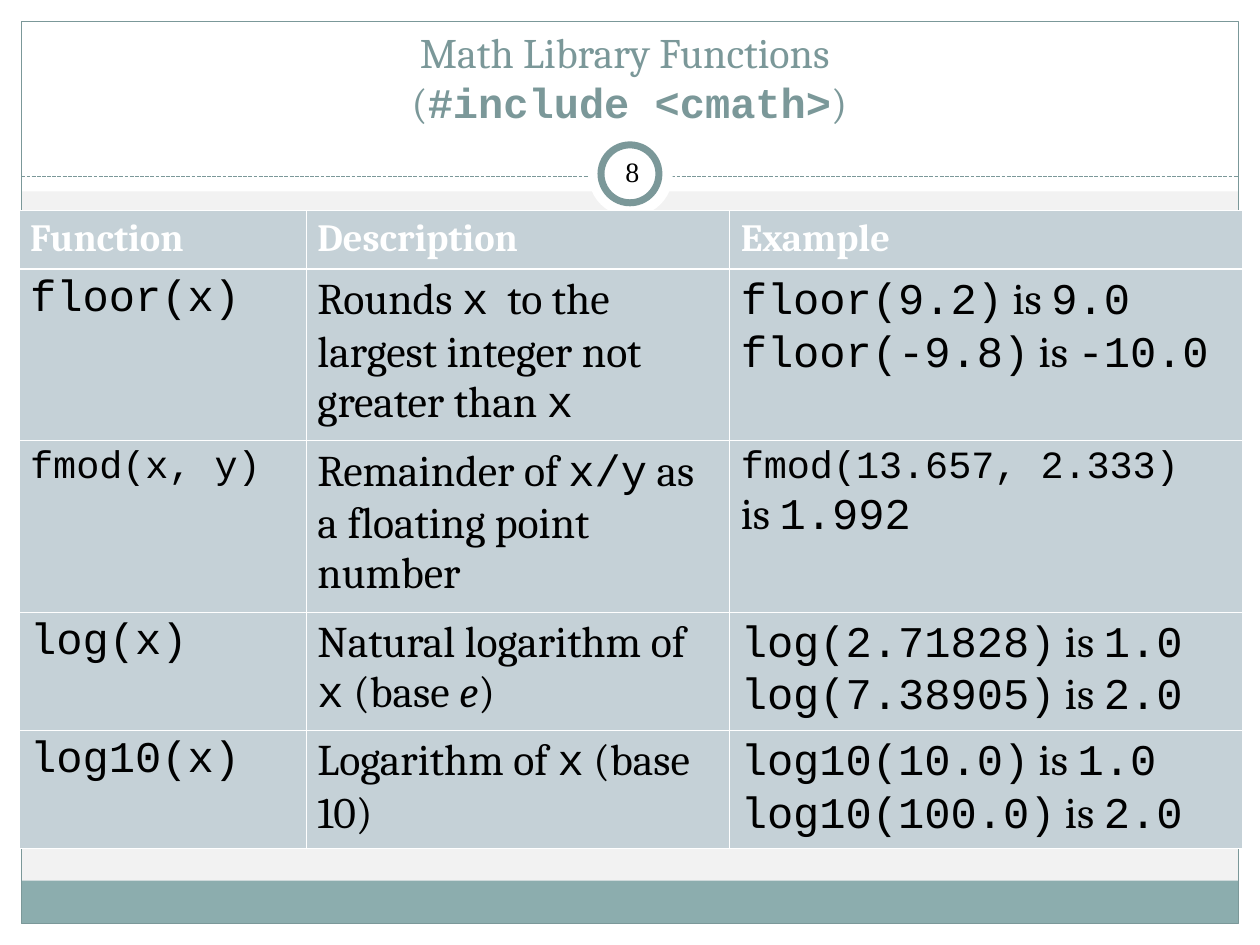
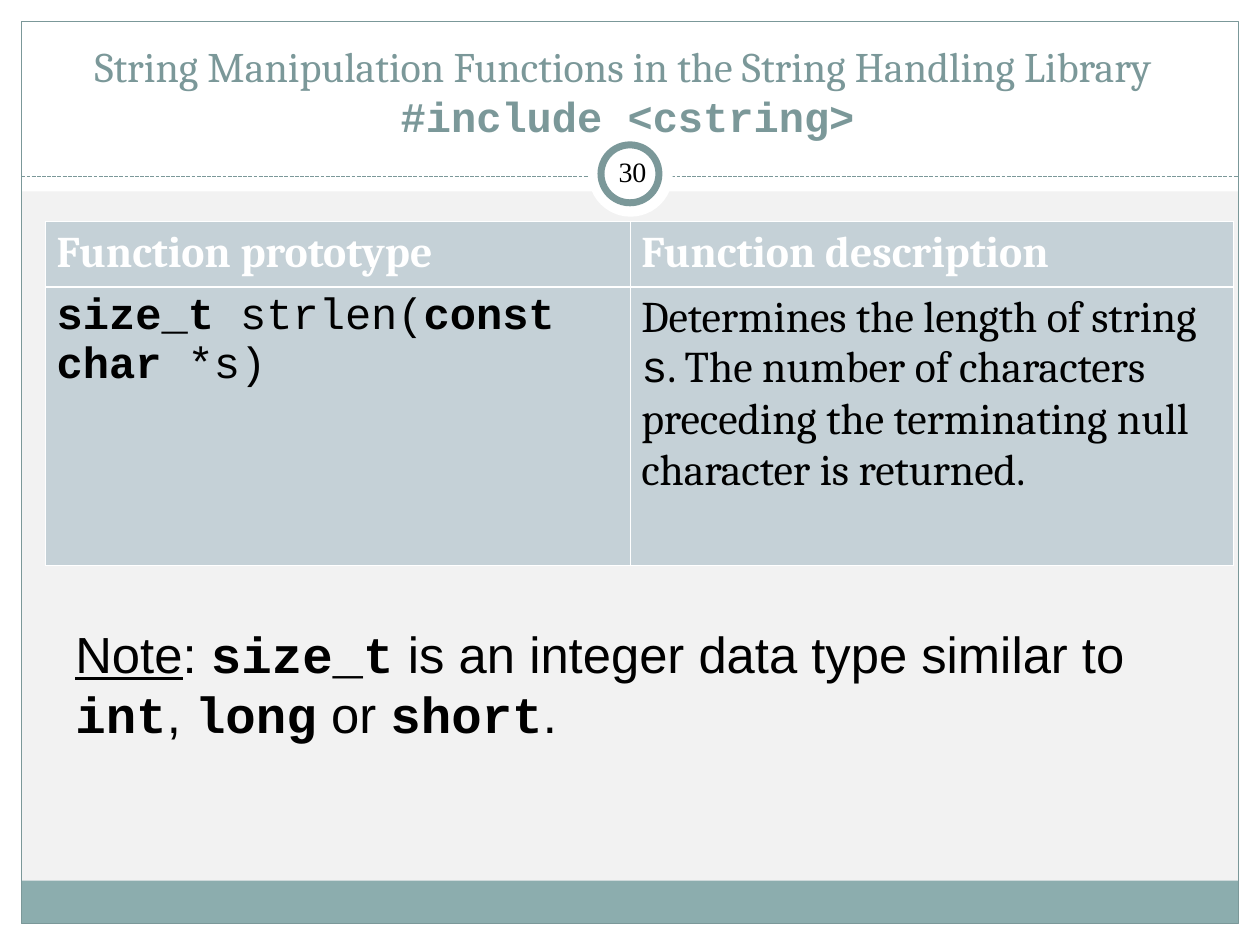
from dataclasses import dataclass, replace

from lxml.etree import SubElement
from pptx import Presentation
from pptx.dml.color import RGBColor
from pptx.enum.dml import MSO_LINE
from pptx.enum.shapes import MSO_CONNECTOR, MSO_SHAPE as Preset
from pptx.enum.text import MSO_ANCHOR as Anchor, PP_ALIGN as Align
from pptx.oxml.ns import qn
from pptx.util import Inches, Pt


@dataclass(frozen=True)
class Theme:
    background: str = "F2F2F2"
    white: str = "FFFFFF"
    black: str = "000000"
    accent: str = "7B9899"
    band: str = "8CADAE"
    cell: str = "C5D1D7"
    serif: str = "Cambria"
    mono: str = "Courier New"
    sans: str = "Arial"
    number_font: str = "Times New Roman"
    title_size: int = 24
    body_size: int = 25
    small_size: int = 22
    note_size: int = 29
    number_size: int = 16
    frame_line: float = 0.75
    ring_line: float = 4
    grid_line: float = 0.45
    header_line: float = 1.47


THEME = Theme()


@dataclass(frozen=True)
class Span:
    text: str
    font: str = THEME.serif
    size: int = THEME.body_size
    color: str = THEME.black
    bold: bool = False
    italic: bool = False
    underline: bool = False


Line = list[Span]
Cell = list[Line]


@dataclass(frozen=True)
class Area:
    left: float
    top: float
    width: float
    height: float

    def lengths(self) -> tuple:
        return tuple(Inches(v) for v in (self.left, self.top, self.width, self.height))


@dataclass(frozen=True)
class FramePart:
    area: Area
    preset: Preset = Preset.RECTANGLE
    fill: str | None = THEME.white
    line_width: float = 0


@dataclass(frozen=True)
class FunctionTable:
    left: float
    top: float
    widths: list[float]
    heights: list[float]
    header: list[str]
    header_size: int
    rows: list[list[Cell]]


FRAME_PARTS = [
    FramePart(Area(0, 7.33, 10, 0.17)),
    FramePart(Area(0, 0, 10, 1.52)),
    FramePart(Area(0, 0, 0.17, 7.5)),
    FramePart(Area(9.83, 0, 0.17, 7.5)),
    FramePart(Area(0.17, 6.99, 9.66, 0.34), fill=THEME.band),
    FramePart(Area(0.17, 0.17, 9.66, 7.16), fill=None, line_width=THEME.frame_line),
]
BADGE_PARTS = [
    FramePart(Area(4.67, 1.05, 0.67, 0.67), Preset.OVAL),
    FramePart(Area(4.77, 1.15, 0.46, 0.46), Preset.OVAL, line_width=THEME.ring_line),
]
NUMBER_AREA = Area(4.77, 1.12, 0.5, 0.48)


def prose(text: str, **style) -> Span:
    return Span(text, **style)


def code(text: str, **style) -> Span:
    return Span(text, font=THEME.mono, **style)


def keyword(text: str, **style) -> Span:
    return code(text, bold=True, **style)


def example(call: str, result: str) -> Line:
    return [code(call), prose(" is "), code(result)]


def titled(line: Line) -> Line:
    return [replace(span, size=THEME.title_size, color=THEME.accent) for span in line]


def add_spans(para, line: Line) -> None:
    for span in line:
        run = para.add_run()
        run.text = span.text
        font = run.font
        font.name = span.font
        font.size = Pt(span.size)
        font.color.rgb = RGBColor.from_string(span.color)
        font.bold = span.bold
        font.italic = span.italic
        font.underline = span.underline


def add_box(page, area: Area, lines: list[Line], inset: tuple[float, float],
            anchor: Anchor = Anchor.TOP, align: Align = Align.LEFT) -> None:
    frame = page.shapes.add_textbox(*area.lengths()).text_frame
    frame.word_wrap = True
    frame.vertical_anchor = anchor
    frame.margin_left = frame.margin_right = Inches(inset[0])
    frame.margin_top = frame.margin_bottom = Inches(inset[1])
    para = frame.paragraphs[0]
    para.alignment = align
    for index, line in enumerate(lines):
        if index:
            para.add_line_break()
        add_spans(para, line)


def add_part(page, part: FramePart) -> None:
    shape = page.shapes.add_shape(part.preset, *part.area.lengths())
    shape.shadow.inherit = False
    if part.fill:
        shape.fill.solid()
        shape.fill.fore_color.rgb = RGBColor.from_string(part.fill)
    else:
        shape.fill.background()
    if part.line_width:
        shape.line.color.rgb = RGBColor.from_string(THEME.accent)
        shape.line.width = Pt(part.line_width)
    else:
        shape.line.fill.background()


def add_divider(page) -> None:
    height = Inches(1.4)
    divider = page.shapes.add_connector(
        MSO_CONNECTOR.STRAIGHT, Inches(0.17), height, Inches(9.83), height)
    divider.line.color.rgb = RGBColor.from_string(THEME.accent)
    divider.line.width = Pt(THEME.frame_line)
    divider.line.dash_style = MSO_LINE.SQUARE_DOT
    SubElement(divider._element.spPr, qn("a:effectLst"))


def start_page(deck, title_area: Area, title: list[Line], number: int):
    page = deck.slides.add_slide(deck.slide_layouts[6])
    page.background.fill.solid()
    page.background.fill.fore_color.rgb = RGBColor.from_string(THEME.background)
    for part in FRAME_PARTS:
        add_part(page, part)
    add_divider(page)
    for part in BADGE_PARTS:
        add_part(page, part)
    add_box(page, title_area, [titled(line) for line in title], (0, 0.07),
            Anchor.BOTTOM, Align.CENTER)
    label = prose(str(number), font=THEME.number_font, size=THEME.number_size)
    add_box(page, NUMBER_AREA, [[label]], (0.05, 0.05), Anchor.MIDDLE, Align.CENTER)
    return page


def set_borders(cell, top: float, bottom: float) -> None:
    properties = cell._tc.get_or_add_tcPr()
    sides = {"L": THEME.grid_line, "R": THEME.grid_line, "T": top, "B": bottom}
    for side, width in sides.items():
        border = SubElement(properties, qn(f"a:ln{side}"), w=str(int(Pt(width))))
        fill = SubElement(border, qn("a:solidFill"))
        SubElement(fill, qn("a:srgbClr"), val=THEME.white)


def fill_cell(cell, lines: Cell, row: int) -> None:
    set_borders(cell,
                THEME.header_line if row == 1 else THEME.grid_line,
                THEME.header_line if row == 0 else THEME.grid_line)
    cell.fill.solid()
    cell.fill.fore_color.rgb = RGBColor.from_string(THEME.cell)
    cell.margin_left = cell.margin_right = Inches(0.09)
    cell.margin_top = cell.margin_bottom = Inches(0.05)
    frame = cell.text_frame
    for index, line in enumerate(lines):
        add_spans(frame.add_paragraph() if index else frame.paragraphs[0], line)


def add_function_table(page, content: FunctionTable) -> None:
    area = Area(content.left, content.top, sum(content.widths), sum(content.heights))
    header = [[[prose(name, size=content.header_size, color=THEME.white, bold=True)]]
              for name in content.header]
    rows = [header, *content.rows]
    table = page.shapes.add_table(len(rows), len(header), *area.lengths()).table
    for column, width in zip(table.columns, content.widths):
        column.width = Inches(width)
    for row, height in zip(table.rows, content.heights):
        row.height = Inches(height)
    for row_index, cells in enumerate(rows):
        for column_index, lines in enumerate(cells):
            fill_cell(table.cell(row_index, column_index), lines, row_index)


MATH_TABLE = FunctionTable(
    left=0.15, top=1.67,
    widths=[2.28, 3.36, 4.07], heights=[0.45, 1.36, 1.36, 0.94, 0.94],
    header=["Function", "Description", "Example"], header_size=THEME.small_size,
    rows=[
        [[[code("floor(x)")]],
         [[prose("Rounds "), code("x"),
           prose("  to the largest integer not greater than "), code("x")]],
         [example("floor(9.2)", "9.0"), example("floor(-9.8)", "-10.0")]],
        [[[code("fmod(x, y)", size=THEME.small_size)]],
         [[prose("Remainder of "), code("x/y"), prose(" as a floating point number")]],
         [[code("fmod(13.657, 2.333) ", size=THEME.small_size),
           prose("is "), code("1.992")]]],
        [[[code("log(x)")]],
         [[prose("Natural logarithm of "), code("x"), prose(" (base "),
           prose("e", italic=True), prose(")")]],
         [example("log(2.71828)", "1.0"), example("log(7.38905)", "2.0")]],
        [[[code("log10(x)")]],
         [[prose("Logarithm of "), code("x"), prose(" (base 10)")]],
         [example("log10(10.0)", "1.0"), example("log10(100.0)", "2.0")]],
    ])

STRING_TABLE = FunctionTable(
    left=0.36, top=1.76, widths=[4.64, 4.79], heights=[0.51, 2.21],
    header=["Function prototype", "Function description"], header_size=THEME.body_size,
    rows=[
        [[[keyword("size_t"), code(" strlen("), keyword("const char"), code(" *s)")]],
         [[prose("Determines the length of string "), code("s"),
           prose(". The number of characters preceding the terminating null "
                 "character is returned.")]]],
    ])


def build_math_page(deck) -> None:
    title = [[prose("Math Library Functions ")],
             [prose("("), keyword("#include <cmath>"), prose(")")]]
    page = start_page(deck, Area(0.14, 0.25, 9.71, 0.83), title, 8)
    add_function_table(page, MATH_TABLE)


def build_string_page(deck) -> None:
    title = [[prose("String Manipulation Functions in the String Handling Library ")],
             [keyword("#include <cstring>")]]
    page = start_page(deck, Area(0.17, 0.46, 9.62, 0.73), title, 30)
    add_function_table(page, STRING_TABLE)
    plain = {"font": THEME.sans}
    note = [prose("Note", underline=True, **plain), prose(": ", **plain),
            keyword("size_t"), prose(" is an integer data type similar to ", **plain),
            keyword("int"), prose(", ", **plain), keyword("long"),
            prose(" or ", **plain), keyword("short"), prose(".", **plain)]
    note = [replace(span, size=THEME.note_size) for span in note]
    add_box(page, Area(0.5, 4.89, 9.14, 1.07), [note], (0.1, 0.05))


def main() -> None:
    deck = Presentation()
    deck.slide_width, deck.slide_height = Inches(10), Inches(7.5)
    build_math_page(deck)
    build_string_page(deck)
    deck.save("out.pptx")


if __name__ == "__main__":
    main()
